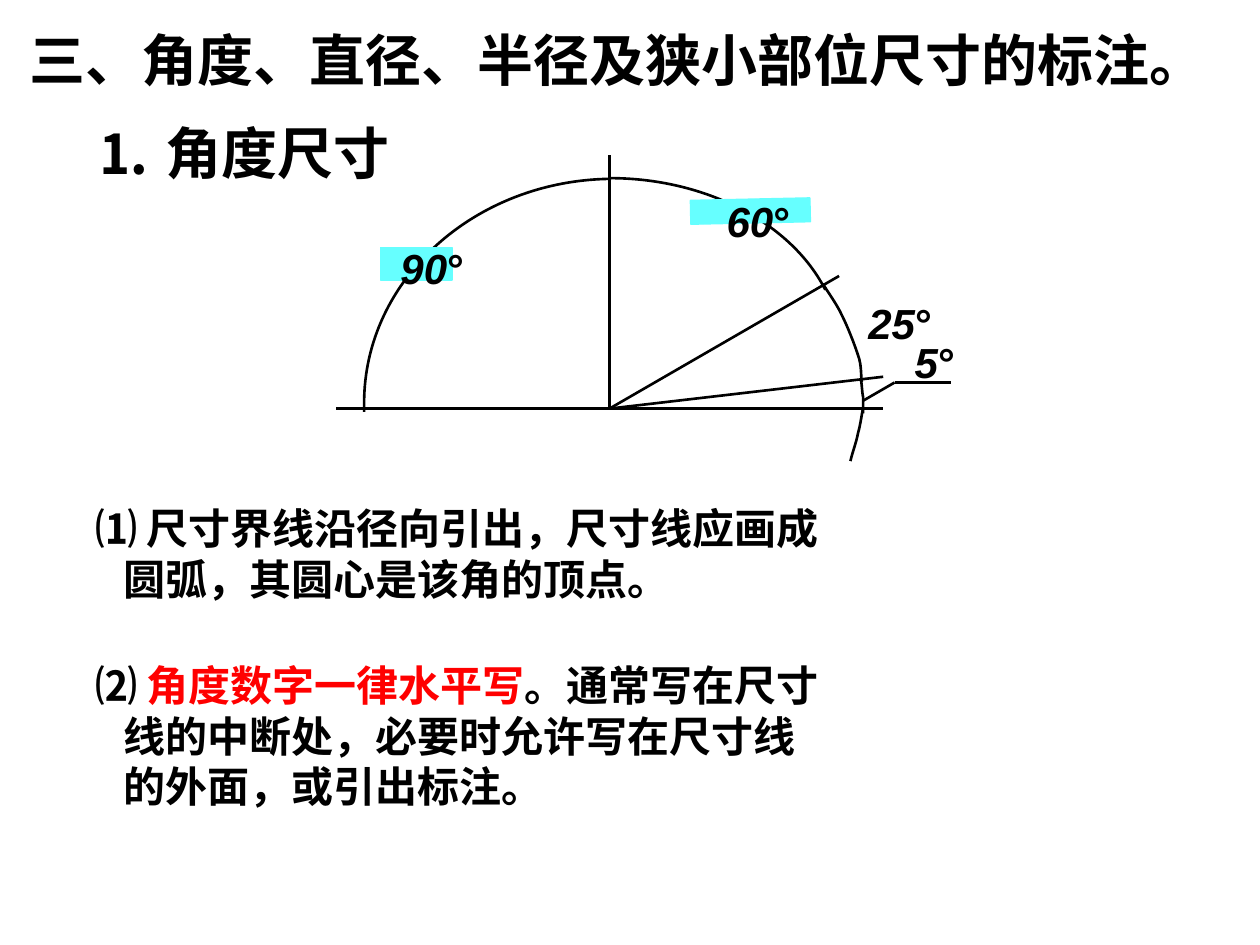
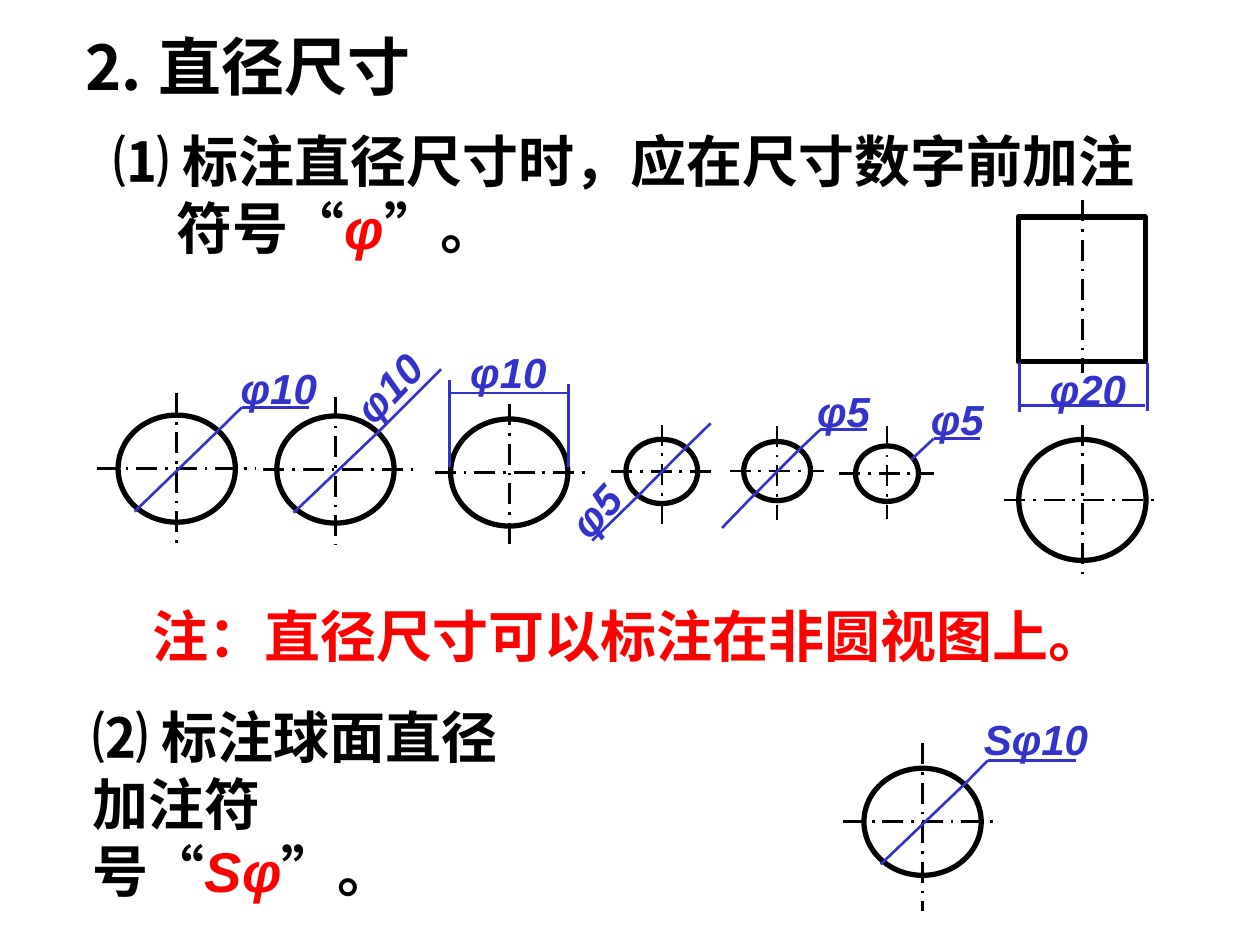
from lxml import etree
from pptx import Presentation
from pptx.dml.color import RGBColor
from pptx.enum.dml import MSO_LINE
from pptx.enum.shapes import MSO_CONNECTOR, MSO_SHAPE
from pptx.enum.text import MSO_ANCHOR, MSO_AUTO_SIZE, PP_ALIGN
from pptx.oxml.ns import qn
from pptx.util import Pt

BLACK = RGBColor(0x00, 0x00, 0x00)
RED = RGBColor(0xFF, 0x00, 0x00)
BLUE = RGBColor(0x33, 0x33, 0xCC)
CYAN = RGBColor(0x66, 0xFF, 0xFF)

LATIN = "Arial"
CHINESE = "Noto Sans CJK SC"
SERIF = "Times New Roman"

STRAIGHT = MSO_CONNECTOR.STRAIGHT
RECTANGLE = MSO_SHAPE.RECTANGLE
ELLIPSE = MSO_SHAPE.OVAL
CENTRE_DASH = MSO_LINE.LONG_DASH_DOT
LEFT = PP_ALIGN.LEFT
CENTER = PP_ALIGN.CENTER
MIDDLE = MSO_ANCHOR.MIDDLE
TOP = MSO_ANCHOR.TOP
NO_AUTOFIT = MSO_AUTO_SIZE.NONE

THIN = 1.5
THICK = 3
LARGE = (67, 61.2)


def write(frame, paragraphs, size=32, font=LATIN, color=BLACK, italic=False,
          align=LEFT, anchor=MIDDLE, wrap=True, pitch=None, indents=(), gaps=()):
    frame.word_wrap = wrap
    frame.auto_size = NO_AUTOFIT
    frame.vertical_anchor = anchor
    for index, runs in enumerate(paragraphs):
        paragraph = frame.paragraphs[0] if index == 0 else frame.add_paragraph()
        properties = paragraph._p.get_or_add_pPr()
        properties.set("marL", str(Pt(indents[index] if indents else 0)))
        properties.set("indent", "0")
        etree.SubElement(properties, qn("a:buNone"))
        paragraph.alignment = align
        paragraph.space_before = Pt(gaps[index] if gaps else 0)
        if pitch:
            paragraph.line_spacing = Pt(pitch)
        for words, changes in runs:
            run = paragraph.add_run()
            run.text = words
            run.font.size = Pt(size)
            run.font.bold = True
            run.font.italic = changes.get("italic", italic)
            run.font.color.rgb = changes.get("color", color)
            run.font.name = changes.get("font", font)
            east_asian = etree.SubElement(run._r.get_or_add_rPr(), qn("a:ea"))
            east_asian.set("typeface", CHINESE)


def plain(words):
    return [(words, {})]


def place(shape, left, top, width, height):
    shape.left, shape.top = Pt(left), Pt(top)
    shape.width, shape.height = Pt(width), Pt(height)
    return shape.text_frame


def text_box(slide, left, top, width, height):
    return slide.shapes.add_textbox(
        Pt(left), Pt(top), Pt(width), Pt(height)).text_frame


def label(slide, x, y, runs, color=BLACK, rotation=0):
    width, height = 94, 36
    box = slide.shapes.add_textbox(
        Pt(x - width / 2), Pt(y - height / 2), Pt(width), Pt(height))
    box.rotation = rotation
    write(box.text_frame, [runs], size=24, color=color, italic=True,
          align=CENTER, wrap=False)


def angle_label(slide, x, y, degrees):
    label(slide, x, y, [(degrees, {}), ("°", {"italic": False})])


def line(slide, start, end, color=BLACK, dashed=False):
    connector = slide.shapes.add_connector(
        STRAIGHT, Pt(start[0]), Pt(start[1]), Pt(end[0]), Pt(end[1]))
    connector.line.color.rgb = color
    connector.line.width = Pt(THIN)
    if dashed:
        connector.line.dash_style = CENTRE_DASH
    etree.SubElement(connector._element.spPr, qn("a:effectLst"))


def dimension(slide, *points):
    for start, end in zip(points, points[1:]):
        line(slide, start, end, BLUE)


def outline(slide, kind, left, top, width, height):
    shape = slide.shapes.add_shape(kind, Pt(left), Pt(top), Pt(width), Pt(height))
    shape.shadow.inherit = False
    shape.fill.background()
    shape.line.color.rgb = BLACK
    shape.line.width = Pt(THICK)


def highlight(slide, left, top, width, height, rotation=0):
    shape = slide.shapes.add_shape(
        RECTANGLE, Pt(left), Pt(top), Pt(width), Pt(height))
    shape.rotation = rotation
    shape.shadow.inherit = False
    shape.fill.solid()
    shape.fill.fore_color.rgb = CYAN
    shape.line.color.rgb = CYAN
    shape.line.width = Pt(0.75)


def curve(slide, start, *controls):
    builder = slide.shapes.build_freeform(Pt(start[0]), Pt(start[1]))
    builder.add_line_segments([(Pt(x), Pt(y)) for x, y in controls], close=False)
    arc = builder.convert_to_shape()
    arc.shadow.inherit = False
    arc.fill.background()
    arc.line.color.rgb = BLACK
    arc.line.width = Pt(THIN)
    track = next(arc._element.iter(qn("a:path")))
    for index, segment in enumerate(track.findall(qn("a:lnTo"))):
        if index % 3 == 0:
            bend = etree.SubElement(track, qn("a:cubicBezTo"))
        bend.append(segment[0])
        track.remove(segment)


def circle(slide, x, y, size, across, down):
    width, height = size
    line(slide, (x, down[0]), (x, down[1]), dashed=True)
    outline(slide, ELLIPSE, x - width / 2, y - height / 2, width, height)
    line(slide, (across[0], y), (across[1], y), dashed=True)


def angle_drawing(slide):
    vertex = (348.3, 233.5)
    angle_label(slide, 534.2, 206.6, "5")
    curve(slide, (349.2, 102.2), (271.4, 103), (208.1, 159.8), (208.1, 230.4),
          (208.1, 231.8), (208.1, 234), (208.1, 235.4))
    highlight(slide, 217.4, 141.4, 41, 18.7)
    line(slide, (192.2, 233.5), (504.7, 233.5))
    for ray_end in ((348.3, 88.6), (479.5, 157.7), (504.7, 215.3)):
        line(slide, vertex, ray_end)
    curve(slide, (348.5, 101.8), (403.2, 101.8), (452.2, 127.4), (471.6, 165.6))
    curve(slide, (470.2, 162), (471.6, 164.9), (478.1, 173.5), (481, 180),
          (484.6, 187.2), (488.2, 196.6), (490.3, 203),
          (492.5, 208.8), (491.8, 215.3), (492.5, 218.2))
    curve(slide, (491.8, 216.7), (492.5, 218.2), (492.5, 223.9), (493.2, 226.8),
          (493.2, 229.7), (493.2, 234), (493.2, 236.2))
    curve(slide, (493.2, 233.3), (492.5, 236.2), (491.8, 242.6), (490.3, 247.7),
          (489.6, 252), (486.7, 259.9), (486, 263.5))
    angle_label(slide, 247, 153.1, "90")
    highlight(slide, 394.6, 113.8, 68.4, 13.7, rotation=358.8)
    angle_label(slide, 433.4, 126, "60")
    angle_label(slide, 514.4, 184.3, "25")
    line(slide, (493.2, 229), (511.2, 218.6))
    line(slide, (511.2, 218.6), (543.6, 218.6))


def angle_slide(slide):
    title, rules = slide.placeholders
    write(place(title, 9.4, 10.8, 700, 46),
          [plain("三、角度、直径、半径及狭小部位尺寸的标注。")])
    write(text_box(slide, 48.2, 64, 190, 46), [plain("⒈ 角度尺寸")])
    write(place(rules, 47.3, 284, 587, 190), [
        plain("⑴ 尺寸界线沿径向引出，尺寸线应画成"),
        plain("圆弧，其圆心是该角的顶点。"),
        [("⑵ ", {}), ("角度数字一律水平写", {"color": RED}), ("。通常写在尺寸", {})],
        plain("线的中断处，必要时允许写在尺寸线"),
        plain("的外面，或引出标注。"),
    ], size=24, font=CHINESE, anchor=TOP, pitch=28.6,
        indents=(0, 16, 0, 16, 16), gaps=(0, 0, 32.5, 0, 0))
    angle_drawing(slide)


def symbol_runs(before, symbol):
    return [(before, {}), ("“", {"font": CHINESE}),
            (symbol, {"color": RED, "italic": True}),
            ("”", {"font": CHINESE}), ("。", {})]


def diameter_drawing(slide):
    circles = [
        (527.2, 469.6, LARGE, (481.7, 571), (424.8, 520.6)),
        (101, 267.8, LARGE, (55.4, 146.2), (224.6, 314.6)),
        (191.7, 268.3, LARGE, (150.5, 237.6), (226.8, 311)),
        (291, 270, LARGE, (248.4, 338.4), (231.1, 313.9)),
        (378.2, 269.4, (41, 36.7), (349.2, 409), (242.6, 299.5)),
        (444.1, 269.2, (38.2, 33.8), (416.9, 470.9), (243.4, 297.4)),
        (506.9, 270.7, (36, 31.7), (479.5, 533.5), (243.4, 296.6)),
        (618.5, 285.7, (72.7, 69.1), (573.8, 663.1), (242.6, 331.9)),
    ]
    for measures in circles:
        circle(slide, *measures)

    outline(slide, RECTANGLE, 581.8, 124, 72.7, 82.8)
    line(slide, (618.5, 114.5), (618.5, 213.1), dashed=True)

    dimensions = [
        [(503.3, 493.9), (552.2, 447.1), (564.5, 434.5), (614.9, 434.5)],
        [(77, 292.3), (125.3, 245.5), (138.2, 232.8), (176.4, 232.8)],
        [(167.8, 293), (216.4, 246.6), (252, 211)],
        [(257, 267.1), (257, 217.4)],
        [(324.7, 267.1), (324.7, 219.6)],
        [(257, 224.6), (324.7, 224.6)],
        [(338.4, 308.9), (364.7, 283.3), (391.7, 256), (406.1, 241.9)],
        [(412.6, 301.7), (428.9, 284.8), (455.8, 257.8), (468.7, 245.6),
         (495.4, 245.6)],
        [(520.6, 262.8), (533.5, 250.7), (560.2, 250.7)],
        [(655.9, 207.4), (655.9, 234.7)],
        [(582.5, 207.4), (582.5, 235.4)],
        [(654.5, 231.8), (583.2, 231.8)],
    ]
    for points in dimensions:
        dimension(slide, *points)

    values = [
        ("Sφ10", 592, 422.3, 0),
        ("φ10", 159.3, 221.8, 0),
        ("φ10", 221.8, 221.4, 313.6),
        ("φ10", 290.5, 212.4, 0),
        ("φ5", 340, 291.6, 312),
        ("φ5", 482.1, 234.7, 0),
        ("φ5", 547, 239.4, 0),
        ("φ20", 621.7, 222.2, 0),
    ]
    for value, x, y, rotation in values:
        label(slide, x, y, plain(value), BLUE, rotation)


def diameter_slide(slide):
    diameter_drawing(slide)
    title, rule = slide.placeholders
    write(place(title, 39.3, 12.2, 220, 50), [plain("⒉ 直径尺寸")], size=36)
    write(place(rule, 57.6, 69, 610, 84),
          [plain("⑴ 标注直径尺寸时，应在尺寸数字前加注"), symbol_runs("符号", "φ")],
          anchor=TOP, pitch=38.3, indents=(0, 36))
    write(text_box(slide, 45.9, 417, 291, 84),
          [plain("⑵ 标注球面直径"), plain("加注符"), symbol_runs("号", "Sφ")],
          pitch=38.3)
    write(text_box(slide, 79.9, 340.3, 575, 54),
          [plain("注：直径尺寸可以标注在非圆视图上。")],
          font=SERIF, color=RED, anchor=TOP)


def main():
    deck = Presentation()
    deck.slide_width, deck.slide_height = Pt(720), Pt(540)
    title_and_body = deck.slide_layouts[1]
    for fill_slide in (angle_slide, diameter_slide):
        fill_slide(deck.slides.add_slide(title_and_body))
    deck.save("out.pptx")


if __name__ == "__main__":
    main()
